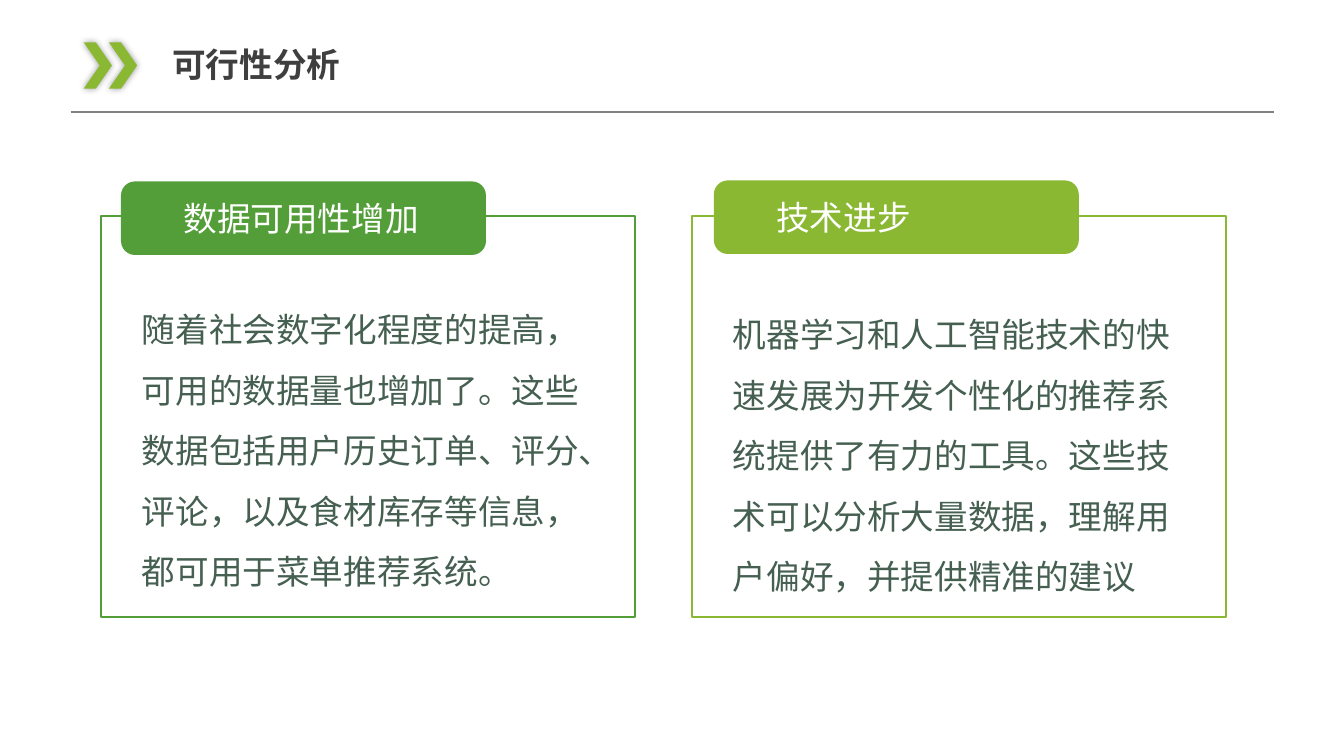
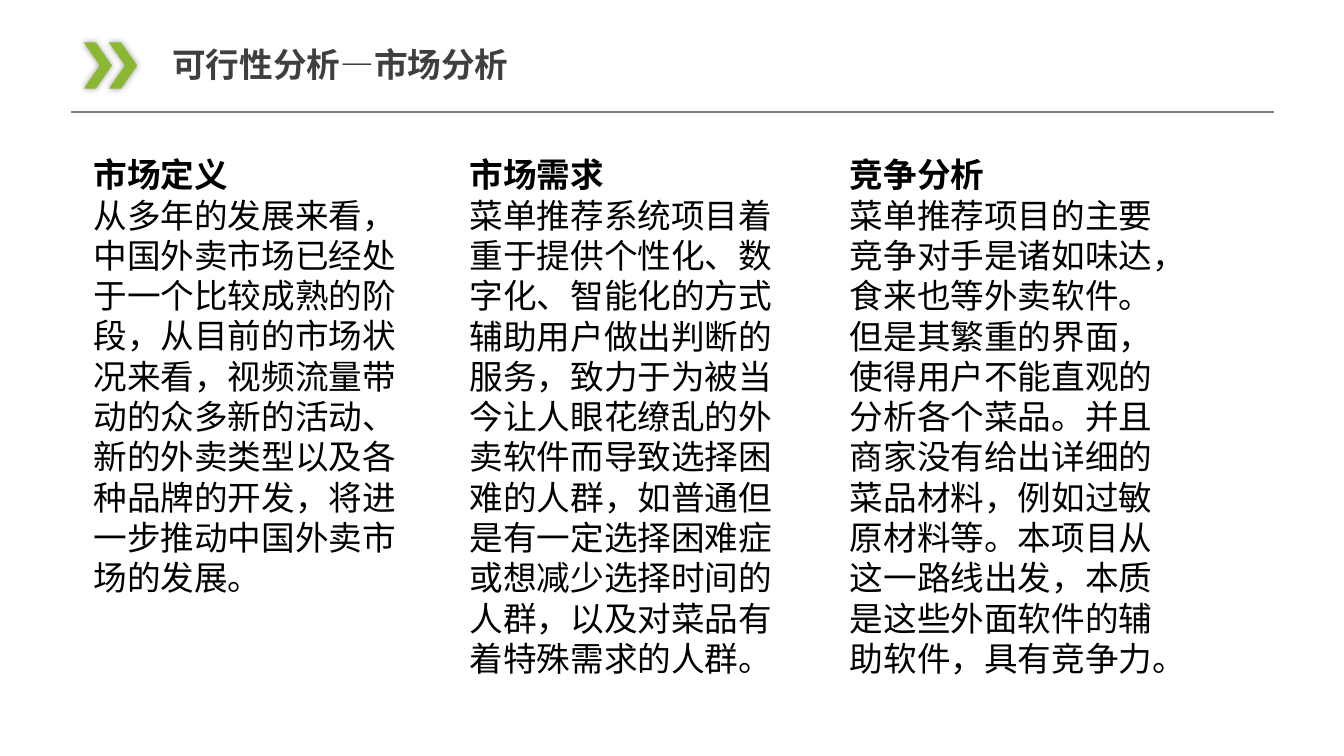
from lxml.etree import SubElement
from pptx import Presentation
from pptx.dml.color import RGBColor
from pptx.enum.shapes import MSO_CONNECTOR, MSO_SHAPE
from pptx.enum.text import MSO_ANCHOR, MSO_AUTO_SIZE, PP_ALIGN
from pptx.oxml.ns import qn
from pptx.util import Emu, Pt

# Content
CARDS = [
    dict(head="数据可用性增加", hue="549E39", left=100, tab=(120, 180), top=282,
         body="随着社会数字化程度的提高，可用的数据量也增加了。这些数据包括用户历史订单、"
              "评分、评论，以及食材库存等信息，都可用于菜单推荐系统。"),
    dict(head="技术进步", hue="8AB833", left=686, tab=(708, 179), top=287,
         body="机器学习和人工智能技术的快速发展为开发个性化的推荐系统提供了有力的工具。"
              "这些技术可以分析大量数据，理解用户偏好，并提供精准的建议"),
]
COLUMNS = [
    (83, 323, 454, "市场定义",
     "从多年的发展来看，中国外卖市场已经处于一个比较成熟的阶段，从目前的市场状况来看，"
     "视频流量带动的众多新的活动、新的外卖类型以及各种品牌的开发，将进一步推动中国外卖市场的发展。"),
    (456, 348, 535, "市场需求",
     "菜单推荐系统项目着重于提供个性化、数字化、智能化的方式辅助用户做出判断的服务，"
     "致力于为被当今让人眼花缭乱的外卖软件而导致选择困难的人群，如普通但是有一定选择困难症"
     "或想减少选择时间的人群，以及对菜品有着特殊需求的人群。"),
    (833, 348, 535, "竞争分析",
     "菜单推荐项目的主要竞争对手是诸如味达，食来也等外卖软件。但是其繁重的界面，"
     "使得用户不能直观的分析各个菜品。并且商家没有给出详细的菜品材料，例如过敏原材料等。"
     "本项目从这一路线出发，本质是这些外面软件的辅助软件，具有竞争力。"),
]

# Shared style
FONT, SIZE = "Noto Sans CJK SC", 24
LIME, GREY, DARK, MOSS = "8AB833", "808080", "3F3F3F", "455F51"
WHITE, BLACK = "FFFFFF", "000000"


def px(n):
    """100 px to the inch."""
    return Emu(n * 9144)


def rgb(code):
    return RGBColor.from_string(code)


def add_run(para, text, color, bold=False):
    run = para.add_run()
    run.text = text
    font = run.font
    font.name, font.size, font.bold = FONT, Pt(SIZE), bold
    font.color.rgb = rgb(color)
    SubElement(font._element, qn("a:ea"), typeface=FONT)


def add_shape(slide, kind, box, fill, line=None):
    shape = slide.shapes.add_shape(kind, *map(px, box))
    shape.shadow.inherit = False
    shape.fill.solid()
    shape.fill.fore_color.rgb = rgb(fill)
    if line:
        shape.line.color.rgb = rgb(line)
        shape.line.width = Pt(1.5)
    else:
        shape.line.fill.background()
    return shape


def add_text(slide, box):
    frame = slide.shapes.add_textbox(*map(px, box)).text_frame
    frame.word_wrap = True
    return frame


def add_glow(shape):
    effects = shape._element.spPr.find(qn("a:effectLst"))
    shade = SubElement(effects, qn("a:outerShdw"), blurRad=str(Pt(5)),
                       dist="0", dir="0", algn="ctr", rotWithShape="0")
    color = SubElement(shade, qn("a:srgbClr"), val=BLACK)
    SubElement(color, qn("a:alpha"), val="40000")


def add_slide(deck, text, width):
    """Title slide with the rule and the double chevron."""
    slide = deck.slides.add_slide(deck.slide_layouts[5])
    rule = slide.shapes.add_connector(
        MSO_CONNECTOR.STRAIGHT, px(70), px(111), px(1264), px(111))
    rule.line.color.rgb = rgb(GREY)
    rule.line.width = Pt(1)
    SubElement(rule._element.spPr, qn("a:effectLst"))
    for left in (108, 83):
        mark = add_shape(slide, MSO_SHAPE.CHEVRON, (left, 42, 28, 46), LIME)
        mark.adjustments[0] = 0.57
        add_glow(mark)

    title = slide.shapes.title
    title.left, title.top, title.width, title.height = map(px, (161, 39, width, 50))
    frame = title.text_frame
    frame.auto_size = MSO_AUTO_SIZE.NONE
    frame.vertical_anchor = MSO_ANCHOR.TOP
    para = frame.paragraphs[0]
    para.alignment = PP_ALIGN.JUSTIFY
    add_run(para, text, DARK, True)
    return slide


def add_card(slide, card):
    # Frame
    panel = add_shape(slide, MSO_SHAPE.RECTANGLE,
                      (card["left"], 214, 530, 398), WHITE, card["hue"])
    color = panel._element.spPr.find(qn("a:solidFill"))[0]
    SubElement(color, qn("a:alpha"), val="90000")

    # Heading tab
    tab = add_shape(slide, MSO_SHAPE.ROUNDED_RECTANGLE,
                    (*card["tab"], 362, 73), card["hue"])
    tab.adjustments[0] = 0.19
    frame = tab.text_frame
    frame.margin_left = px(58)
    frame.vertical_anchor = MSO_ANCHOR.MIDDLE
    para = frame.paragraphs[0]
    para.alignment = PP_ALIGN.LEFT
    add_run(para, card["head"], WHITE)

    # Body
    frame = add_text(slide, (card["left"] + 31, card["top"], 466, 306))
    para = frame.paragraphs[0]
    para.line_spacing = 1.5
    add_run(para, card["body"], MOSS)


def add_column(slide, left, width, height, head, body):
    frame = add_text(slide, (left, 148, width, height))
    add_run(frame.paragraphs[0], head, BLACK, True)
    add_run(frame.add_paragraph(), body, BLACK)


def main():
    deck = Presentation()
    deck.slide_width, deck.slide_height = px(1333), px(750)

    slide = add_slide(deck, "可行性分析", 239)
    for card in CARDS:
        add_card(slide, card)

    slide = add_slide(deck, "可行性分析—市场分析", 469)
    for column in COLUMNS:
        add_column(slide, *column)

    deck.save("out.pptx")


if __name__ == "__main__":
    main()
